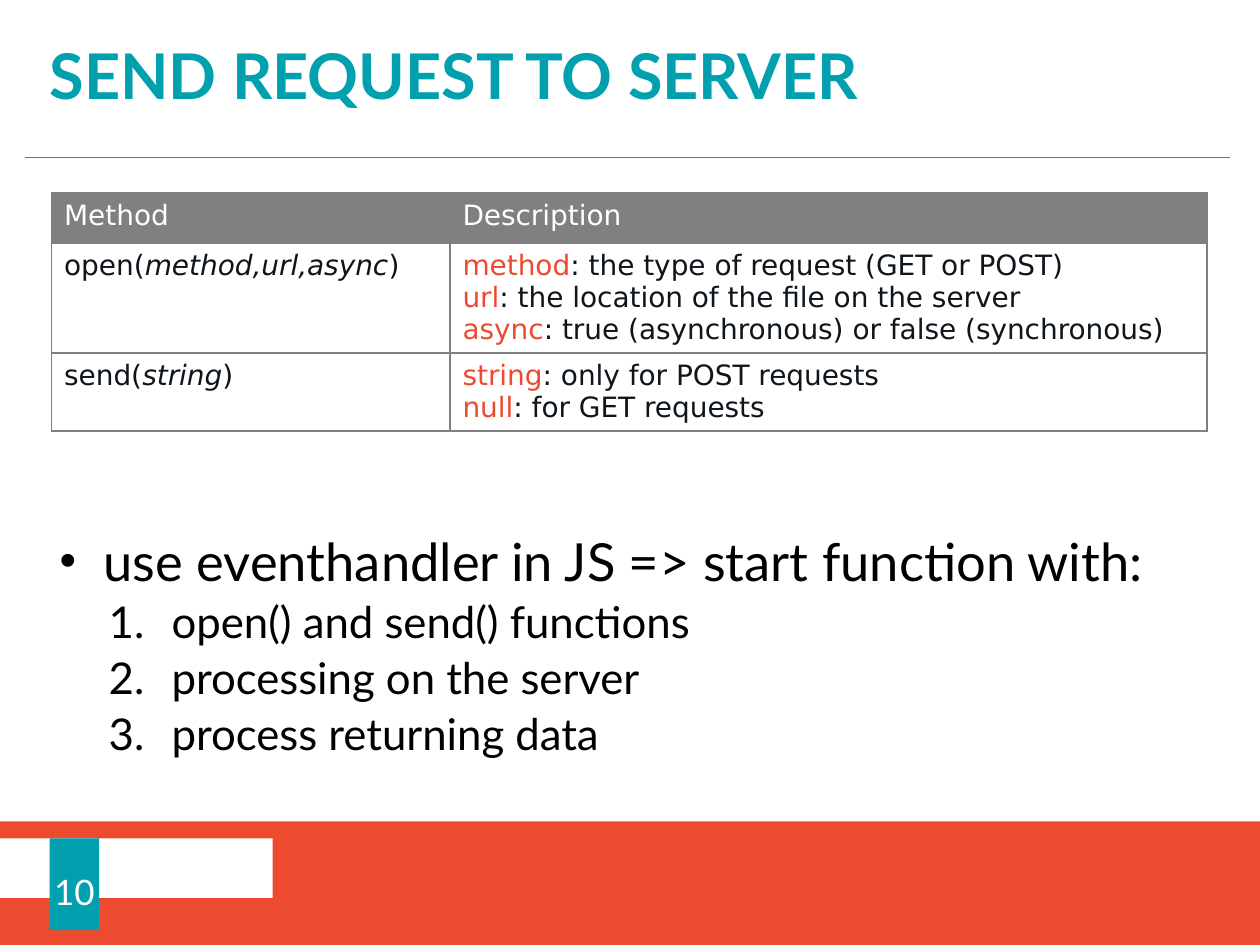
from dataclasses import dataclass

from lxml import etree
from pptx import Presentation
from pptx import util as u
from pptx.dml.color import RGBColor
from pptx.enum import shapes, text
from pptx.oxml.ns import qn


@dataclass(frozen=True)
class Theme:
    teal: str = "00A0AE"
    red: str = "EC4B2F"
    white: str = "FFFFFF"
    black: str = "000000"
    ink: str = "0E151B"
    grey: str = "808080"
    rule: str = "707070"
    font: str = "Lato"
    table_font: str = "DejaVu Sans"
    title_size: int = 36
    body_size: int = 30
    step_size: int = 25
    number_size: int = 20
    table_size: int = 16


T = Theme()


def add_run(p, words, size, color, font=T.font, bold=False, italic=False):
    r = p.add_run()
    r.text = words
    r.font.size = u.Pt(size)
    r.font.name = font
    r.font.bold = bold
    r.font.italic = italic
    r.font.color.rgb = RGBColor.from_string(color)


def set_frame(tf, left, top, right, bottom, anchor):
    """Set the margins and anchor of a text frame and turn autofit off."""
    tf.margin_left, tf.margin_top = u.Cm(left), u.Cm(top)
    tf.margin_right, tf.margin_bottom = u.Cm(right), u.Cm(bottom)
    tf.vertical_anchor = anchor
    tf.auto_size = text.MSO_AUTO_SIZE.NONE


prs = Presentation()
prs.slide_width, prs.slide_height = u.Cm(25.4), u.Cm(19.05)
s = prs.slides.add_slide(prs.slide_layouts[1])

# Footer band, white strip and page number tab
bars = [
    (0, 16.56, 25.4, 2.49, T.red),
    (0, 16.9, 5.5, 1.2, T.white),
    (1, 16.9, 1, 1.85, T.teal),
]
for left, top, width, height, color in bars:
    sp = s.shapes.add_shape(shapes.MSO_SHAPE.RECTANGLE,
                            u.Cm(left), u.Cm(top), u.Cm(width), u.Cm(height))
    sp.shadow.inherit = False
    sp.fill.solid()
    sp.fill.fore_color.rgb = RGBColor.from_string(color)
    sp.line.fill.background()
tf = sp.text_frame
set_frame(tf, 0, 0.3, 0, 0, text.MSO_ANCHOR.MIDDLE)
tf.word_wrap = False
p = tf.paragraphs[0]
p.alignment = text.PP_ALIGN.CENTER
add_run(p, "10", T.number_size, T.white)

# Title with the rule below it
title = s.shapes.title
title.left, title.top, title.width, title.height = 0, 0, u.Cm(25.4), u.Cm(3.18)
set_frame(title.text_frame, 1, 0.5, 1, 0.4, text.MSO_ANCHOR.MIDDLE)
p = title.text_frame.paragraphs[0]
p.alignment = text.PP_ALIGN.LEFT
p.line_spacing = 0.8
add_run(p, "SEND REQUEST TO SERVER", T.title_size, T.teal, bold=True)

rule = s.shapes.add_connector(shapes.MSO_CONNECTOR.STRAIGHT,
                              u.Cm(0.5), u.Cm(3.18), u.Cm(24.8), u.Cm(3.18))
rule.line.color.rgb = RGBColor.from_string(T.rule)
rule.line.width = u.Pt(0.5)
etree.SubElement(rule.element.spPr, qn("a:effectLst"))

# Bulleted list with numbered steps
body = s.placeholders[1]
body.left, body.top, body.width, body.height = 0, u.Cm(10.9), u.Cm(25.4), u.Cm(4.85)
tf = body.text_frame
set_frame(tf, 1.2, 0, 1.2, 0.4, text.MSO_ANCHOR.TOP)
items = [
    (0, "use eventhandler in JS => start function with:"),
    (1, "open() and send() functions"),
    (1, "processing on the server"),
    (1, "process returning data"),
]
for i, (level, words) in enumerate(items):
    p = tf.add_paragraph() if i else tf.paragraphs[0]
    p.level = level
    p.line_spacing = 0.8
    p.space_before = u.Pt(4 if i else 0)
    p.space_after = u.Pt(4)
    pPr = p._p.get_or_add_pPr()
    margin, hanging = (2.26, 1.27) if level else (0.89, 0.89)
    pPr.set("marL", str(u.Cm(margin)))
    pPr.set("indent", str(-u.Cm(hanging)))
    if level:
        etree.SubElement(pPr, qn("a:buFont"), typeface="+mj-lt")
        etree.SubElement(pPr, qn("a:buAutoNum"), type="arabicPeriod")
    else:
        etree.SubElement(pPr, qn("a:buSzPct"), val="90000")
        etree.SubElement(pPr, qn("a:buFont"), typeface="Arial")
        etree.SubElement(pPr, qn("a:buChar"), char="•")
    add_run(p, words, T.step_size if level else T.body_size, T.black)

# Method table: each cell is a list of lines, each line a list of (style, words)
rows = [
    [[[("head", "Method")]], [[("head", "Description")]]],
    [[[("text", "open("), ("argument", "method,url,async"), ("text", ")")]],
     [[("key", "method"), ("text", ": the type of request (GET or POST)")],
      [("key", "url"), ("text", ": the location of the file on the server")],
      [("key", "async"), ("text", ": true (asynchronous) or false (synchronous)")]]],
    [[[("text", "send("), ("argument", "string"), ("text", ")")]],
     [[("key", "string"), ("text", ": only for POST requests")],
      [("key", "null"), ("text", ": for GET requests")]]],
]
colors = {"head": T.white, "text": T.ink, "argument": T.ink, "key": T.red}
col_widths = [8.03, 15.26]
row_heights = [1.01, 2.22, 1.57]

table = s.shapes.add_table(len(rows), len(col_widths), u.Cm(1.04), u.Cm(3.89),
                           u.Cm(sum(col_widths)), u.Cm(sum(row_heights))).table
table.horz_banding = False
for col, width in zip(table.columns, col_widths):
    col.width = u.Cm(width)
for i, (row, height) in enumerate(zip(rows, row_heights)):
    table.rows[i].height = u.Cm(height)
    for j, lines in enumerate(row):
        cell = table.cell(i, j)
        p = cell.text_frame.paragraphs[0]
        for n, line in enumerate(lines):
            if n:
                p.add_line_break()
            for style, words in line:
                add_run(p, words, T.table_size, colors[style], T.table_font,
                        italic=style == "argument")
        tcPr = cell._tc.get_or_add_tcPr()
        for side in ("a:lnL", "a:lnR", "a:lnT", "a:lnB"):
            ln = etree.SubElement(tcPr, qn(side), w=str(u.Pt(1)))
            fill = etree.SubElement(ln, qn("a:solidFill"))
            etree.SubElement(fill, qn("a:srgbClr"), val=T.grey)
        cell.fill.solid()
        cell.fill.fore_color.rgb = RGBColor.from_string(T.white if i else T.grey)

prs.save("out.pptx")
